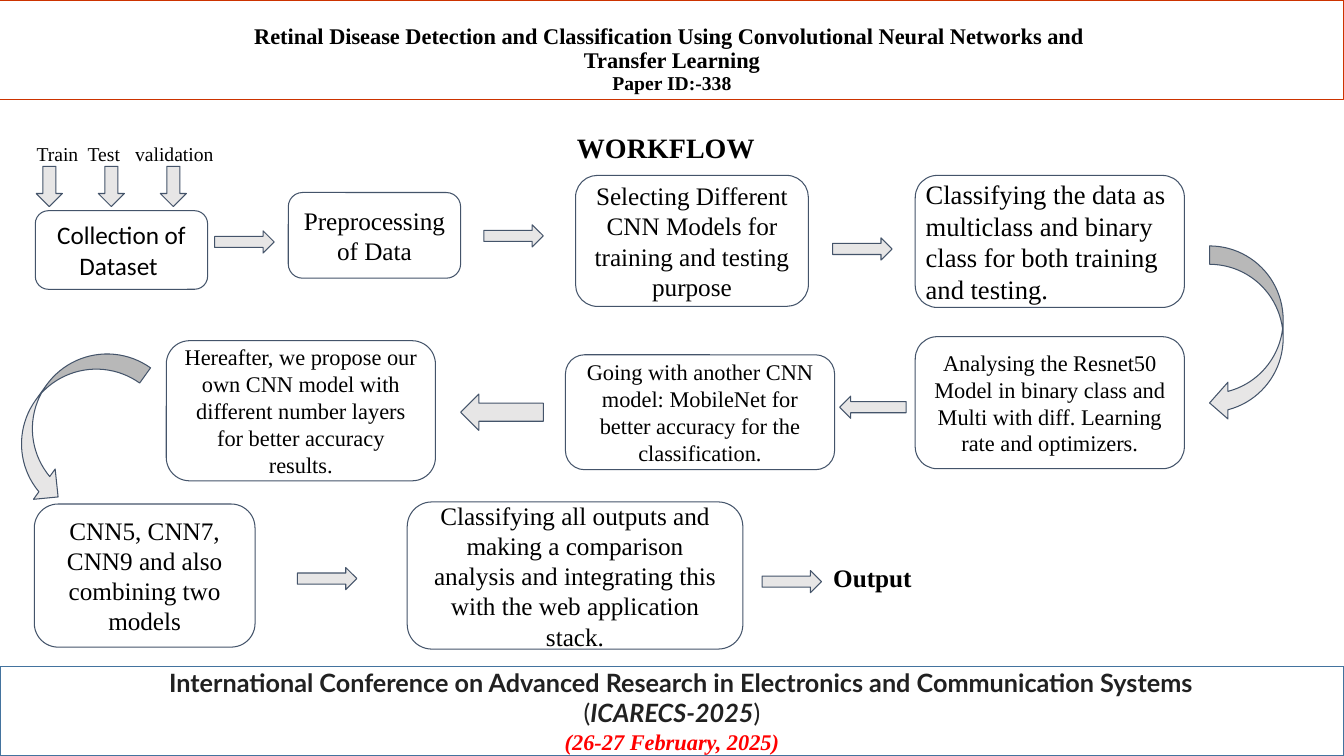
from lxml.etree import SubElement
from pptx import Presentation
from pptx.dml.color import RGBColor
from pptx.enum.shapes import MSO_SHAPE
from pptx.enum.text import MSO_ANCHOR, PP_ALIGN
from pptx.util import Inches, Pt

# Content: places are columns and rows of a grid with square cells
COLUMNS, ROWS = 133.33, 75
CELL = Inches(0.1)
COLORS = {"white": "FFFFFF", "black": "000000", "title line": "CC3300",
          "footer line": "43739E", "outline": "44546A", "arrow": "E7E6E6",
          "conference": "212121", "date": "FF0000"}
SERIF, SANS, CONFERENCE_FONT = "Times New Roman", "Calibri", "Lato"

TITLE_HEIGHT, FOOTER_TOP = 9.9, 66.1
TITLE = [
    ("Retinal Disease Detection and Classification Using Convolutional Neural "
     "Networks and \vTransfer Learning\v", {"size": 16}),
    ("Paper ID:-338", {"size": 14}),
]
FOOTER = [
    [("International Conference on Advanced Research in Electronics and "
      "Communication Systems", {"bold": True})],
    [("(", {}), ("ICARECS-2025", {"bold": True, "italic": True}), (")", {})],
    [("(26-27 February, 2025)", {"bold": True, "italic": True, "size": 16,
                                 "font": SERIF, "color": "date"})],
]
FOOTER_INDENT = 1.8  # shifts the conference name right of centre

# Step text, (left, top, width, height), text format
STEPS = [
    ("Collection of Dataset ", (3.5, 20.9, 17.1, 7.8), {"size": 18, "font": SANS}),
    ("Preprocessing of Data", (28.6, 19.1, 17.1, 8.5), {"size": 18}),
    ("Selecting Different CNN Models for training and testing purpose",
     (57.1, 17.4, 23.1, 13), {"size": 18}),
    ("Classifying the data as multiclass and binary class for both training "
     "and testing.", (90.8, 17.4, 26.7, 13.1),
     {"size": 19, "align": PP_ALIGN.LEFT, "insets": (0.4, 0, 1, 0)}),
    ("Analysing the Resnet50 Model in binary class and Multi with diff. Learning "
     "rate and optimizers.", (90.8, 33.4, 26.7, 13.1), {"size": 16}),
    ("Going with another CNN model: MobileNet for better accuracy for the "
     "classification.", (56.1, 35.2, 26.7, 11.4), {"size": 16}),
    ("Hereafter, we propose our own CNN model with different number layers for "
     "better accuracy results.", (16.5, 33.8, 26.7, 13.9), {"size": 16}),
    ("CNN5, CNN7, CNN9 and also combining two models",
     (3.4, 50, 21.9, 14.2), {"size": 18}),
    ("Classifying all outputs and making a comparison analysis and integrating "
     "this with the web application stack.", (40.4, 49.8, 33.3, 14.6), {"size": 18}),
]

# Preset, (width, height), [(left, top), ...], rotation
ARROWS = [
    (MSO_SHAPE.RIGHT_ARROW, (5.9, 2.2),
     [(21.3, 22.9), (48, 22.3), (82.6, 23.6), (29.5, 56.3), (75.6, 56.6)], 0),
    (MSO_SHAPE.CURVED_LEFT_ARROW, (7.3, 17.4), [(120, 24.4)], 0),
    (MSO_SHAPE.LEFT_ARROW, (6.6, 2.2), [(83.3, 39.3)], 0),
    (MSO_SHAPE.LEFT_ARROW, (8.2, 3.6), [(45.7, 39.1)], 0),
    (MSO_SHAPE.CURVED_RIGHT_ARROW, (7.4, 17.6), [(3.1, 32.7)], 35.6),
    (MSO_SHAPE.DOWN_ARROW, (2.6, 4), [(3.6 + 6.15 * i, 16.5) for i in range(3)], 0),
]

# Label text, (left, top, width, height), text format
LABELS = [
    ("WORKFLOW", (0.5, 12.4, 131.1, 4.4), {"size": 20, "bold": True}),
    ("Output", (77.3, 55.3, 18.5, 4), {"size": 18, "bold": True}),
    ("Train", (3.2, 13.5, 5, 3.4), {"size": 14}),
    ("Test", (7.8, 13.5, 5, 3.4), {"size": 14}),
    ("validation", (12.3, 13.5, 10, 3.4), {"size": 14}),
]

deck = Presentation()
deck.slide_width, deck.slide_height = int(COLUMNS * CELL), ROWS * CELL
slide = deck.slides.add_slide(deck.slide_layouts[6])


def cells(values):
    return [int(value * CELL) for value in values]


def rgb(name):
    return RGBColor.from_string(COLORS[name])


def add_outlined(preset, place, fill, line, weight=0.75):
    shape = slide.shapes.add_shape(preset, *cells(place))
    shape.shadow.inherit = False
    shape.fill.solid()
    shape.fill.fore_color.rgb = rgb(fill)
    shape.line.color.rgb = rgb(line)
    shape.line.width = Pt(weight)
    return shape


def write(holder, paragraphs, size=18, font=SERIF, color="black", bold=False,
          italic=False, align=PP_ALIGN.CENTER, anchor=MSO_ANCHOR.MIDDLE,
          insets=(1, 0.5, 1, 0.5), line_spacing=None):
    """Fill a holder with a string, or with paragraphs of (text, format) runs."""
    base = {"size": size, "font": font, "color": color, "bold": bold, "italic": italic}
    if isinstance(paragraphs, str):
        paragraphs = [[(paragraphs, {})]]
    frame = holder.text_frame
    frame.word_wrap = True
    frame.vertical_anchor = anchor
    (frame.margin_left, frame.margin_top,
     frame.margin_right, frame.margin_bottom) = cells(insets)
    for number, runs in enumerate(paragraphs):
        paragraph = frame.add_paragraph() if number else frame.paragraphs[0]
        paragraph.alignment = align
        if line_spacing:
            paragraph.line_spacing = line_spacing
        for text, changes in runs:
            look = {**base, **changes}
            for part, piece in enumerate(text.split("\v")):
                if part:
                    paragraph.add_line_break()
                if not piece:
                    continue
                run = paragraph.add_run()
                run.text = piece
                run.font.size = Pt(look["size"])
                run.font.name = look["font"]
                run.font.bold = look["bold"]
                run.font.italic = look["italic"]
                run.font.color.rgb = rgb(look["color"])
    return frame


# Title band
title = add_outlined(MSO_SHAPE.RECTANGLE, (0, 0, COLUMNS, TITLE_HEIGHT),
                     "white", "title line")
write(title, [TITLE], bold=True, anchor=MSO_ANCHOR.BOTTOM, line_spacing=0.9)

# Conference band
footer = add_outlined(MSO_SHAPE.RECTANGLE, (0, FOOTER_TOP, COLUMNS, ROWS - FOOTER_TOP),
                      "white", "footer line", 1)
footer_frame = write(footer, FOOTER, font=CONFERENCE_FONT, color="conference")
conference_name = footer_frame.paragraphs[0]
conference_name.runs[0].font.size = Pt(18)
conference_name._p.get_or_add_pPr().set("marL", str(int(FOOTER_INDENT * CELL)))

# Workflow steps
for step, place, look in STEPS:
    box = add_outlined(MSO_SHAPE.ROUNDED_RECTANGLE, place, "white", "outline")
    write(box, step, **{"insets": (1, 1, 1, 1), **look})

# Arrows between steps
for preset, size, corners, rotation in ARROWS:
    for corner in corners:
        arrow = add_outlined(preset, (*corner, *size), "arrow", "outline")
        arrow.rotation = rotation

# Free labels
for label, place, look in LABELS:
    write(slide.shapes.add_textbox(*cells(place)), label,
          **{"insets": (0, 0.5, 0, 0.5), **look})

deck.save("out.pptx")
